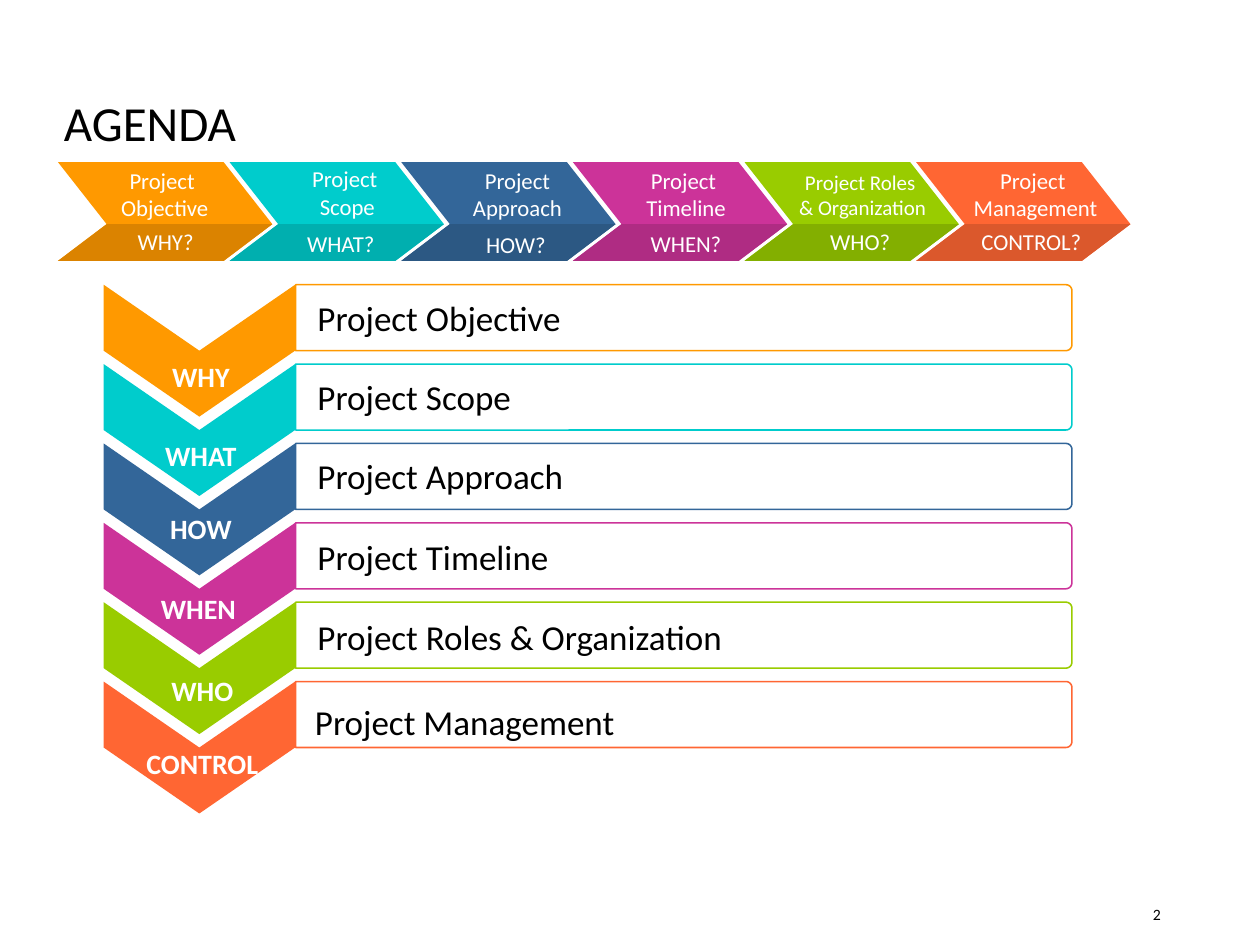
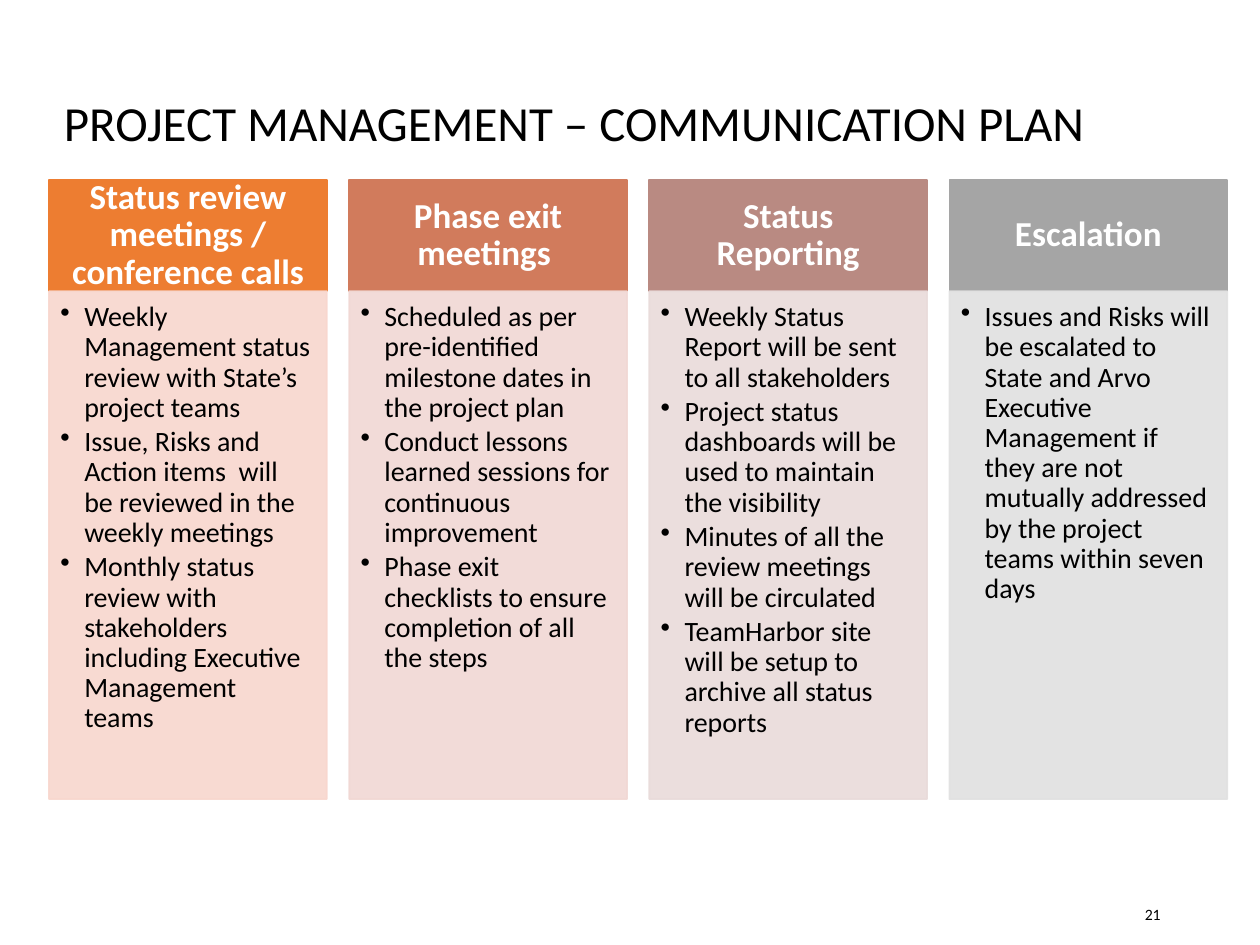
from math import cos, pi, sin

from lxml import etree
from pptx import Presentation
from pptx.dml.color import RGBColor
from pptx.enum.shapes import MSO_SHAPE
from pptx.enum.text import MSO_ANCHOR, MSO_AUTO_SIZE, PP_ALIGN
from pptx.oxml.ns import qn
from pptx.util import Cm, Pt

RECTANGLE = MSO_SHAPE.RECTANGLE
TOP, MIDDLE = MSO_ANCHOR.TOP, MSO_ANCHOR.MIDDLE
LEFT, CENTER, RIGHT = PP_ALIGN.LEFT, PP_ALIGN.CENTER, PP_ALIGN.RIGHT
NO_AUTOFIT = MSO_AUTO_SIZE.NONE

BLACK = RGBColor(0x00, 0x00, 0x00)
WHITE = RGBColor(0xFF, 0xFF, 0xFF)
ORANGE, DARK_ORANGE = RGBColor(0xFF, 0x99, 0x00), RGBColor(0xDB, 0x83, 0x00)
TEAL, DARK_TEAL = RGBColor(0x00, 0xCC, 0xCC), RGBColor(0x00, 0xAF, 0xAF)
BLUE, DARK_BLUE = RGBColor(0x33, 0x66, 0x99), RGBColor(0x2C, 0x58, 0x83)
PINK, DARK_PINK = RGBColor(0xCC, 0x33, 0x99), RGBColor(0xAF, 0x2C, 0x83)
GREEN, DARK_GREEN = RGBColor(0x99, 0xCC, 0x00), RGBColor(0x83, 0xAF, 0x00)
CORAL, DARK_CORAL = RGBColor(0xFF, 0x66, 0x33), RGBColor(0xDB, 0x58, 0x2C)
RUST, PALE_RUST = RGBColor(0xED, 0x7D, 0x31), RGBColor(0xF8, 0xD7, 0xCE)
CLAY, PALE_CLAY = RGBColor(0xD1, 0x7B, 0x5C), RGBColor(0xF1, 0xD8, 0xD4)
ROSE, PALE_ROSE = RGBColor(0xB9, 0x8A, 0x82), RGBColor(0xE9, 0xDB, 0xDA)
GRAY, PALE_GRAY = RGBColor(0xA5, 0xA5, 0xA5), RGBColor(0xE1, 0xE1, 0xE1)

TITLE_ONLY = 5
CAPTION_WIDTH = 3.94

STEP_COLORS = [
    (ORANGE, DARK_ORANGE), (TEAL, DARK_TEAL), (BLUE, DARK_BLUE),
    (PINK, DARK_PINK), (GREEN, DARK_GREEN), (CORAL, DARK_CORAL),
]
STEP_NAMES = [
    (["Project ", "Objective"], 1.35, 3.23, 13),
    (["Project", " Scope"], 4.98, 3.2, 13),
    (["Project", "Approach"], 8.46, 3.23, 13),
    (["Project ", "Timeline"], 11.86, 3.23, 13),
    (["Project Roles ", "& Organization"], 15.42, 3.28, 12),
    (["Project", " Management"], 18.85, 3.23, 13),
]
STEP_QUESTIONS = [
    ("WHY", 1.37, 4.47), ("WHAT", 4.9, 4.5), ("HOW", 8.43, 4.52),
    ("WHEN", 11.86, 4.5), ("WHO", 15.37, 4.47), ("CONTROL", 18.82, 4.47),
]
AGENDA_ROWS = [
    ("Project Objective", 6.15, 5.84, 5.46, 2.08, 7.11),
    ("Project Scope", 6.15, 7.44, 4.45, 2.08, 8.71),
    ("Project Approach", 6.15, 9.04, 5.51, 2.08, 10.19),
    ("Project Timeline", 6.15, 10.67, 5.23, 2.03, 11.79),
    ("Project Roles & Organization", 6.15, 12.27, 8.74, 2.11, 13.44),
    ("Project Management", 6.1, 14, 6.6, 2.11, 14.91),
]
PLAN_COLUMNS = [
    ("Status review meetings / conference calls", RUST, PALE_RUST, [
        "Weekly Management status review with State’s project teams",
        "Issue, Risks and Action items  will be reviewed in the weekly meetings",
        "Monthly status review with stakeholders including Executive Management teams",
    ]),
    ("Phase exit meetings ", CLAY, PALE_CLAY, [
        "Scheduled as per pre-identified milestone dates in the project plan",
        "Conduct lessons learned sessions for continuous improvement",
        "Phase exit checklists to ensure completion of all the steps",
    ]),
    ("Status Reporting", ROSE, PALE_ROSE, [
        "Weekly Status Report will be sent to all stakeholders",
        "Project status dashboards will be used to maintain the visibility",
        "Minutes of all the review meetings will be circulated",
        "TeamHarbor site will be setup to archive all status reports",
    ]),
    ("Escalation", GRAY, PALE_GRAY, [
        "Issues and Risks will be escalated to State and Arvo Executive Management "
        "if they are not mutually addressed by the project teams within seven days",
    ]),
]


def apply(target, values):
    for name, value in values.items():
        setattr(target, name, value)


class SlideBuilder:
    font = "Calibri"

    def __init__(self, deck):
        self.deck = deck
        self.page = None

    def start(self, title, number):
        self.page = self.deck.slides.add_slide(self.deck.slide_layouts[TITLE_ONLY])
        box = self.page.shapes.title
        apply(box, {"left": Cm(1.04), "top": Cm(1.71), "width": Cm(22.6), "height": Cm(1.66)})
        self.fill_text(box, [title], 28, anchor=MIDDLE, spacing=0.9)
        self.text([number], 17.93, 17.93, 5.72, 1.02, 9, align=RIGHT, anchor=MIDDLE)

    def fill_text(self, box, lines, size, color=BLACK, bold=False, align=LEFT, anchor=TOP,
                  spacing=1.0, after=0, wrap=True, insets=(0.25, 0.13, 0.25, 0.13),
                  bullets=False):
        frame = box.text_frame
        apply(frame, {"word_wrap": wrap, "auto_size": NO_AUTOFIT, "vertical_anchor": anchor})
        sides = ("margin_left", "margin_top", "margin_right", "margin_bottom")
        apply(frame, {side: Cm(inset) for side, inset in zip(sides, insets)})
        for index, line in enumerate(lines):
            para = frame.add_paragraph() if index else frame.paragraphs[0]
            apply(para, {"alignment": align, "line_spacing": spacing,
                         "space_before": Pt(0), "space_after": Pt(after)})
            if bullets:
                self.bullet(para)
            span = para.add_run()
            span.text = line
            apply(span.font, {"name": self.font, "size": Pt(size), "bold": bold})
            span.font.color.rgb = color

    def bullet(self, para):
        properties = para._p.get_or_add_pPr()
        properties.set("marL", str(Cm(0.48)))
        properties.set("indent", str(Cm(-0.48)))
        etree.SubElement(properties, qn("a:buChar")).set("char", "•")

    def text(self, lines, left, top, width, height, size, **style):
        box = self.page.shapes.add_textbox(Cm(left), Cm(top), Cm(width), Cm(height))
        self.fill_text(box, lines, size, **style)

    def outline(self, points, fill=None, line=None):
        corners = [(Cm(x), Cm(y)) for x, y in points]
        builder = self.page.shapes.build_freeform(*corners[0])
        builder.add_line_segments(corners[1:], close=True)
        self.paint(builder.convert_to_shape(), fill, line, 0.88)

    def panel(self, left, top, width, height, color, opacity=100):
        box = self.page.shapes.add_shape(RECTANGLE, Cm(left), Cm(top), Cm(width), Cm(height))
        self.paint(box, color, color, 1)
        if opacity < 100:
            for tint in box._element.spPr.iter(qn("a:srgbClr")):
                etree.SubElement(tint, qn("a:alpha")).set("val", str(opacity * 1000))
        return box

    def paint(self, shape, fill, line, weight):
        shape.shadow.inherit = False
        if fill is None:
            shape.fill.background()
        else:
            shape.fill.solid()
            shape.fill.fore_color.rgb = fill
        if line is None:
            shape.line.fill.background()
        else:
            shape.line.color.rgb = line
            shape.line.width = Pt(weight)

    def side_chevron(self, left, color, shade):
        top, middle, bottom = 3.27, 4.52, 5.26
        notch, shoulder, tip = left + 0.98, left + 3.34, left + 4.32
        self.outline([(left, top), (shoulder, top), (tip, middle), (shoulder, bottom),
                      (left, bottom), (notch, middle)], fill=color)
        self.outline([(notch, middle), (tip, middle), (shoulder, bottom), (left, bottom)],
                     fill=shade)

    def down_chevron(self, left, top, width, band, color):
        center, right = left + width / 2, left + width
        self.outline([(left, top), (center, top + band), (right, top), (right, top + band),
                      (center, top + 2 * band), (left, top + band)], fill=color)

    def right_rounded_box(self, left, top, width, height, color):
        radius, steps = 0.12, 6
        right, bottom = left + width, top + height
        turns = [pi / 2 * step / steps for step in range(steps + 1)]
        upper = [(right - radius + radius * sin(turn), top + radius - radius * cos(turn))
                 for turn in turns]
        lower = [(x, top + bottom - y) for x, y in reversed(upper)]
        self.outline([(left, top), *upper, *lower, (left, bottom)], line=color)


def add_agenda(slide):
    slide.start("AGENDA", "2")
    rows = zip(STEP_COLORS, AGENDA_ROWS, STEP_QUESTIONS)
    for index, ((color, _), row, (question, _, _)) in enumerate(rows):
        name, left, top, width, label_left, label_top = row
        row_top = 5.74 + 1.6 * index
        slide.down_chevron(2.09, row_top, 3.86, 1.33, color)
        slide.right_rounded_box(5.96, row_top, 15.65, 1.33, color)
        slide.text([name], left, top, width, 1.12, 20, wrap=False)
        slide.text([question], label_left, label_top, CAPTION_WIDTH, 0.94, 16,
                   color=WHITE, bold=True, align=CENTER)
    for index, (color, shade) in enumerate(STEP_COLORS):
        slide.side_chevron(1.17 + 3.46 * index, color, shade)
    for lines, left, top, size in STEP_NAMES:
        slide.text(lines, left, top, CAPTION_WIDTH, 1.37, size, color=WHITE, align=CENTER)
    for question, left, top in STEP_QUESTIONS:
        slide.text([question + "?"], left, top, CAPTION_WIDTH, 0.81, 13,
                   color=WHITE, align=CENTER)


def add_communication_plan(slide):
    slide.start("PROJECT MANAGEMENT – COMMUNICATION PLAN", "21")
    for index, (heading, color, pale, points) in enumerate(PLAN_COLUMNS):
        left = 0.99 + 6.05 * index
        header = slide.panel(left, 3.63, 5.6, 2.24, color)
        slide.fill_text(header, [heading], 20, color=WHITE, bold=True, align=CENTER,
                        anchor=MIDDLE, spacing=0.9, insets=(0.4, 0.23, 0.4, 0.23))
        body = slide.panel(left, 5.87, 5.6, 10.24, pale, opacity=90)
        slide.fill_text(body, points, 16, spacing=0.9, after=2.4,
                        insets=(0.23, 0.23, 0.3, 0.35), bullets=True)


def main():
    deck = Presentation()
    apply(deck, {"slide_width": Cm(25.4), "slide_height": Cm(19.05)})
    slide = SlideBuilder(deck)
    add_agenda(slide)
    add_communication_plan(slide)
    deck.save("out.pptx")


if __name__ == "__main__":
    main()
